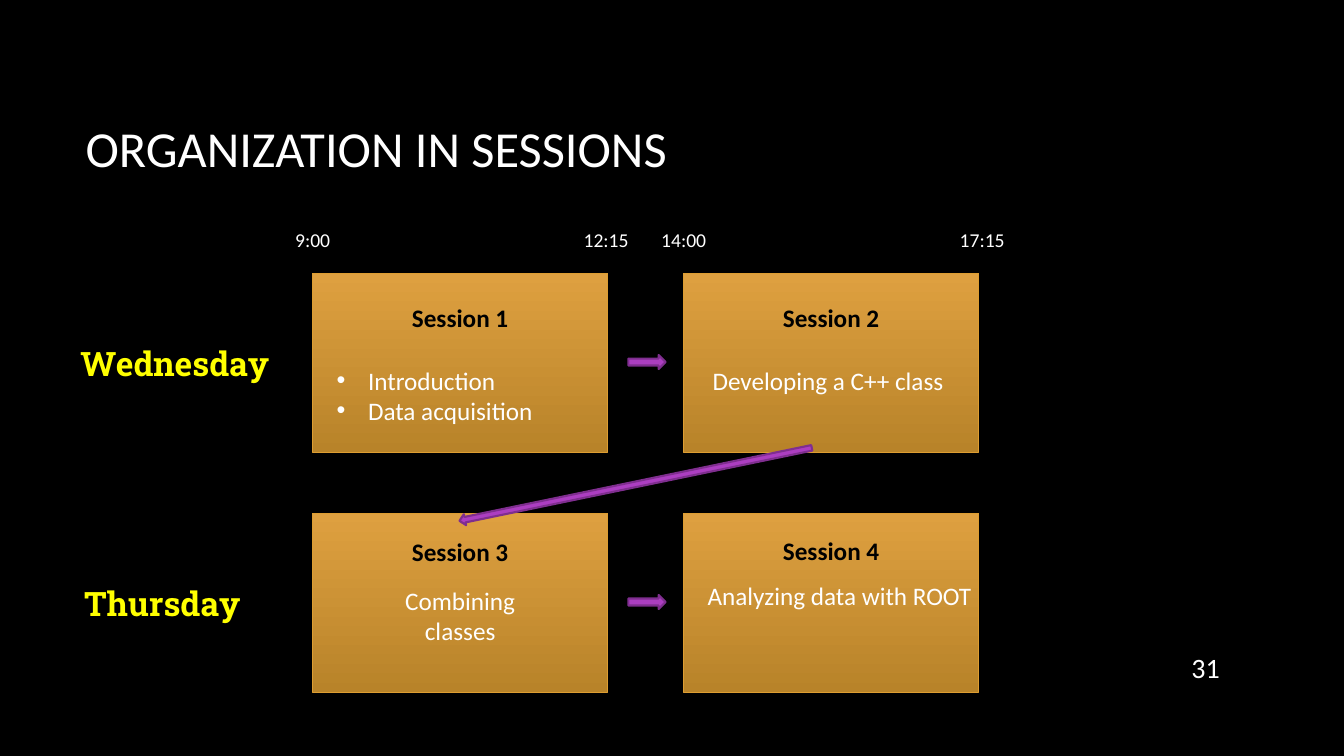
from pptx import Presentation
from pptx.dml.color import RGBColor
from pptx.enum.shapes import MSO_SHAPE
from pptx.enum.text import MSO_ANCHOR, PP_ALIGN
from pptx.oxml.ns import qn
from pptx.util import Pt
from lxml import etree

RECT, DOWN_ARROW = MSO_SHAPE.RECTANGLE, MSO_SHAPE.DOWN_ARROW
LEFT, CENTER, RIGHT = PP_ALIGN.LEFT, PP_ALIGN.CENTER, PP_ALIGN.RIGHT
TOP, MIDDLE = MSO_ANCHOR.TOP, MSO_ANCHOR.MIDDLE

COLORS = {
    "background": "000000", "text": "FFFFFF", "session": "000000",
    "day": "FFFF00", "box_top": "DEA040", "box_bottom": "B88329",
    "box_line": "DD9D31", "arrow": "AC3EC1", "arrow_line": "7F2E8F",
}
BOX_W, BOX_H = 211, 128
COLS, ROWS = (223.2, 488.2), (195.1, 366.5)
SESSIONS = [
    ("Session 1", 17.3, ["Introduction", "Data acquisition"], (10.1, 62, 187), LEFT, True),
    ("Session 2", 17.3, ["Developing a C++ class"], (13.7, 62, 183), LEFT, False),
    ("Session 3", 13, ["Combining classes"], (54, 48.2, 103), CENTER, False),
    ("Session 4", 12.2, ["Analyzing data with ROOT"], (10.1, 44.6, 209), LEFT, False),
]
DAYS = [("Wednesday", 124.9, 152), ("Thursday", 115.9, 132)]
TIMES = [("9:00", 223.4), ("12:15", 433), ("14:00", 488.4), ("17:15", 701.6)]


def rgb(name):
    return RGBColor.from_string(COLORS[name])


def style(p, size, color, bold=False, font="Calibri"):
    for r in p.runs:
        r.font.size, r.font.bold, r.font.name = Pt(size), bold, font
        r.font.color.rgb = rgb(color)


def add_bullet(p):
    pPr = p._p.get_or_add_pPr()
    pPr.set("marL", str(Pt(22.5)))
    pPr.set("indent", str(-Pt(22.5)))
    etree.SubElement(pPr, qn("a:buFont")).set("typeface", "Arial")
    etree.SubElement(pPr, qn("a:buChar")).set("char", "•")


def add_text(s, x, y, w, h, lines, size, color, align=CENTER, anchor=TOP,
             wrap=False, bullets=False, **font):
    tf = s.shapes.add_textbox(Pt(x), Pt(y), Pt(w), Pt(h)).text_frame
    tf.word_wrap, tf.vertical_anchor = wrap, anchor
    tf.text = "\n".join(lines)
    for p in tf.paragraphs:
        p.alignment = align
        if bullets:
            add_bullet(p)
        style(p, size, color, **font)


def add_title(s, x, y, w, h):
    sp = s.shapes.title
    sp.left, sp.top, sp.width, sp.height = Pt(x), Pt(y), Pt(w), Pt(h)
    tf = sp.text_frame
    tf.text = "ORGANIZATION IN SESSIONS"
    tf.vertical_anchor = MIDDLE
    p = tf.paragraphs[0]
    p.alignment = LEFT
    style(p, 36, "text")


def add_box(s, x, y, w, h):
    sp = s.shapes.add_shape(RECT, Pt(x), Pt(y), Pt(w), Pt(h))
    sp.shadow.inherit = False
    sp.fill.gradient()
    sp.fill.gradient_angle = 270
    for stop, name in zip(sp.fill.gradient_stops, ("box_top", "box_bottom")):
        stop.color.rgb = rgb(name)
    sp.line.color.rgb = rgb("box_line")
    sp.line.width = Pt(0.75)


def add_session(s, x, y, w, h, session):
    name, name_dy, lines, (dx, dy, body_w), align, bullets = session
    add_box(s, x, y, w, h)
    add_text(s, x, y + name_dy, w, 29, [name], 18, "session", bold=True)
    add_text(s, x + dx, y + dy, body_w, 29, lines, 18, "text", align,
             wrap=True, bullets=bullets)


def add_arrow(s, cx, cy, w, h, rotation):
    sp = s.shapes.add_shape(DOWN_ARROW, Pt(cx - w / 2), Pt(cy - h / 2), Pt(w), Pt(h))
    sp.rotation = rotation
    sp.shadow.inherit = False
    sp.fill.solid()
    sp.fill.fore_color.rgb = rgb("arrow")
    sp.line.color.rgb = rgb("arrow_line")
    sp.line.width = Pt(1.5)


def add_schedule(s):
    cells = [(x, y) for y in ROWS for x in COLS]
    for (x, y), session in zip(cells, SESSIONS):
        add_session(s, x, y, BOX_W, BOX_H, session)
    for time, cx in TIMES:
        add_text(s, cx - 23.5, 159.1, 47, 24.5, [time], 14, "text")
    gap_x = (COLS[0] + BOX_W + COLS[1]) / 2 + 1
    for y, (day, cx, w) in zip(ROWS, DAYS):
        cy = y + BOX_H / 2
        add_text(s, cx - w / 2, cy - 18, w, 36, [day], 24, "day",
                 bold=True, font="Roboto Slab")
        add_arrow(s, gap_x, cy - 0.5, 10, 26.6, 270)
    add_arrow(s, 454, 346, 8, 257, 78.3)


def main():
    prs = Presentation()
    prs.slide_width, prs.slide_height = Pt(960), Pt(540)
    s = prs.slides.add_slide(prs.slide_layouts[5])
    s.background.fill.solid()
    s.background.fill.fore_color.rgb = rgb("background")
    add_title(s, 54, 48.2, 798, 114.5)
    add_schedule(s)
    add_text(s, 835.2, 462.2, 43.2, 29.5, ["31"], 20, "text", RIGHT, MIDDLE, wrap=True)
    prs.save("out.pptx")


if __name__ == "__main__":
    main()
